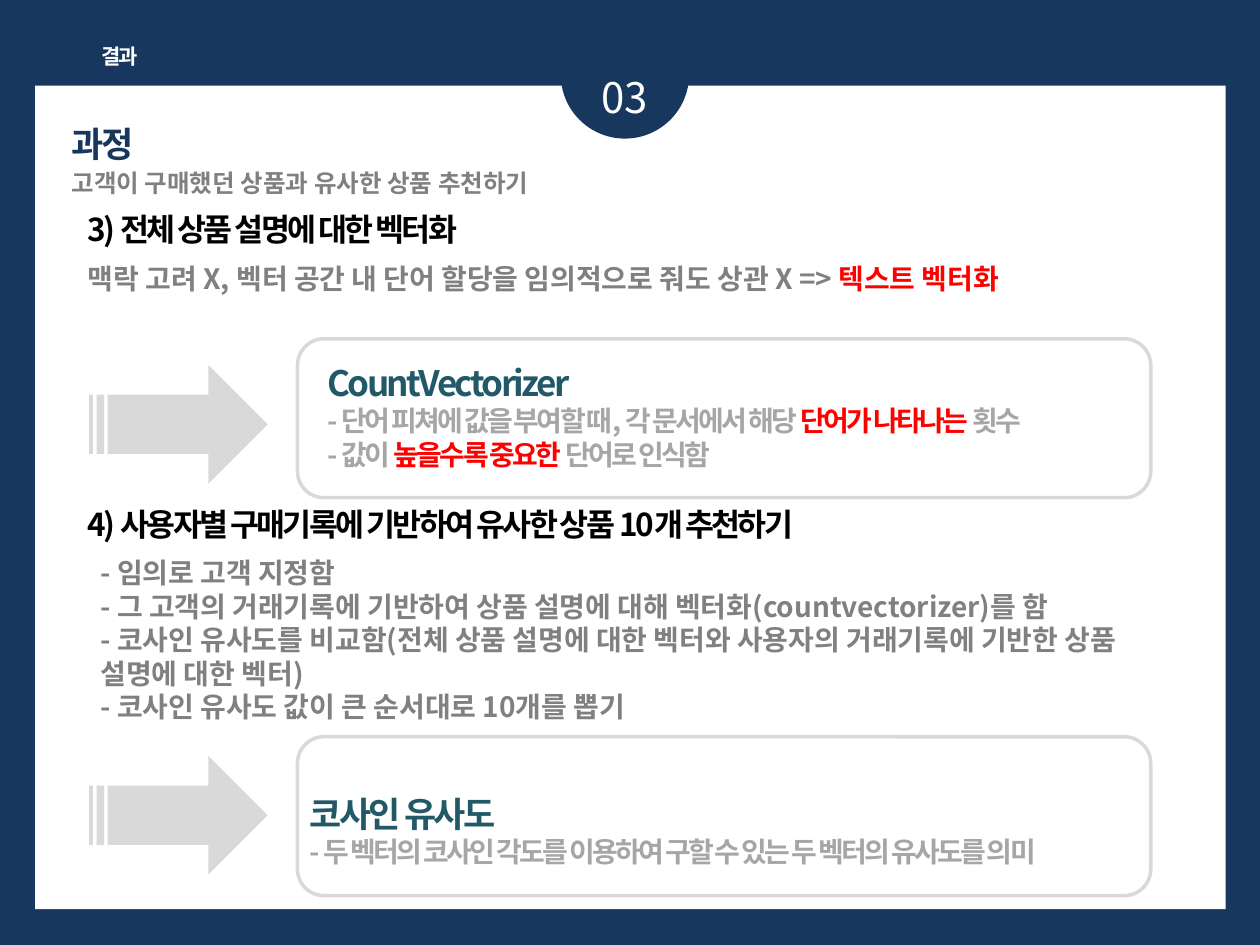
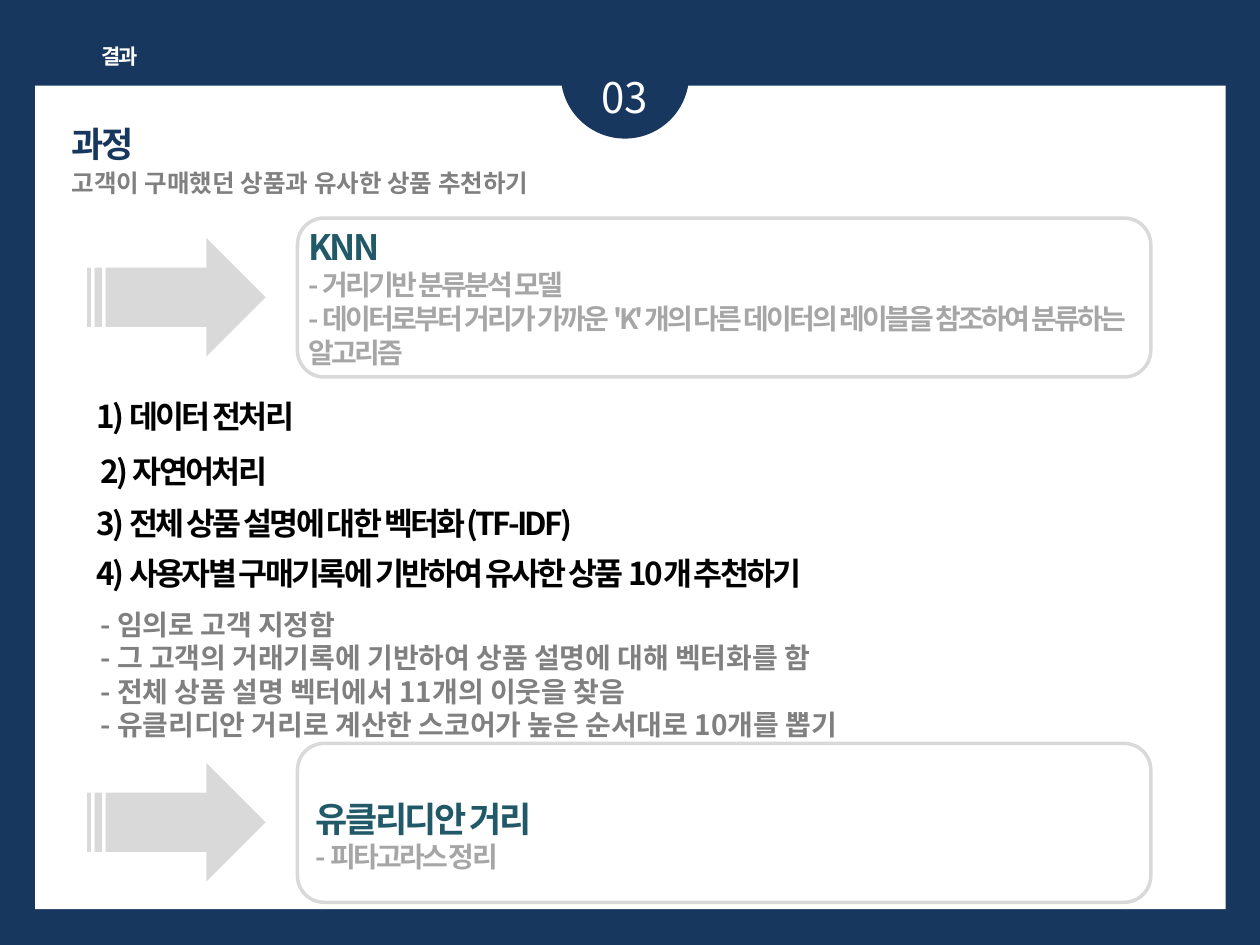
"""Build two slides on recommending products similar to past purchases."""
import pptx
import pptx.dml.color
import pptx.enum.shapes
import pptx.enum.text
import pptx.oxml.ns
import pptx.util

Pt = pptx.util.Pt
SHAPES = pptx.enum.shapes.MSO_SHAPE

FONT = "Noto Sans CJK KR"
COLORS = {
    "navy": "17375E",
    "white": "FFFFFF",
    "black": "000000",
    "teal": "215968",
    "body": "808080",
    "detail": "A6A6A6",
    "accent": "FF0000",
    "shape": "D9D9D9",
}
STYLES = {
    "number": {"size": 24, "color": "white", "centered": True},
    "section": {"size": 12, "color": "white", "bold": True, "tight": True, "centered": True},
    "title": {"size": 20, "color": "navy", "bold": True, "tight": True},
    "subtitle": {"size": 14, "color": "body", "bold": True},
    "step": {"size": 18, "color": "black", "bold": True, "tight": True},
    "body": {"size": 16, "color": "body", "bold": True},
    "term": {"size": 20, "color": "teal", "bold": True, "tight": True, "line_spacing": 2},
    "detail": {"size": 16, "color": "detail", "bold": True, "tight": True},
}

FRAME_TEXTS = [
    ("number", (314.6, 37.4, 85, 36), "03"),
    ("section", (50.4, 21.6, 36, 21.6), "결과"),
    ("title", (33.8, 66.2, 136, 31.7), "과정"),
    ("subtitle", (33.8, 92.2, 422, 24.5), "고객이 구매했던 상품과 유사한 상품 추천하기"),
]
RECOMMEND_STEP = "4) 사용자별 구매기록에 기반하여 유사한 상품 10개 추천하기"

# Asterisks enclose accented words.
SLIDES = [
    {
        "steps": [
            (43.2, 116.6, "3) 전체 상품 설명에 대한 벡터화"),
            (43.2, 285.1, RECOMMEND_STEP),
        ],
        "bodies": [
            ((43.2, 146.2, 636.5, 26.6), [
                "맥락 고려 X, 벡터 공간 내 단어 할당을 임의적으로 줘도 상관 X => *텍스트 벡터화*",
            ]),
            ((50.4, 313.9, 636.5, 104.4), [
                "- 임의로 고객 지정함",
                "- 그 고객의 거래기록에 기반하여 상품 설명에 대해 벡터화(countvectorizer)를 함",
                "- 코사인 유사도를 비교함(전체 상품 설명에 대한 벡터와 사용자의 거래기록에 기반한 상품 설명에 대한 벡터)",
                "- 코사인 유사도 값이 큰 순서대로 10개를 뽑기",
            ]),
        ],
        "arrow_left": 51,
        "callouts": [
            {"arrow_top": 208.6, "box_top": 193.6, "text": (180, 179.3, 464.4, 94.3),
             "term": "CountVectorizer",
             "details": ["- 단어 피쳐에 값을 부여할 때, 각 문서에서 해당* 단어가 나타나는* 횟수",
                         "- 값이 *높을수록 중요한* 단어로 인식함"]},
            {"arrow_top": 432, "box_top": 421, "text": (169.9, 425.5, 490.3, 74.9),
             "term": "코사인 유사도",
             "details": ["- 두 벡터의 코사인 각도를 이용하여 구할 수 있는 두 벡터의 유사도를 의미"]},
        ],
    },
    {
        "steps": [
            (48.2, 223.2, "1) 데이터 전처리"),
            (50.4, 254.9, "2) 자연어처리"),
            (48.2, 284.4, "3) 전체 상품 설명에 대한 벡터화(TF-IDF)"),
            (48.2, 313.2, RECOMMEND_STEP),
        ],
        "bodies": [
            ((50.4, 343.4, 636.5, 85), [
                "- 임의로 고객 지정함",
                "- 그 고객의 거래기록에 기반하여 상품 설명에 대해 벡터화를 함",
                "- 전체 상품 설명 벡터에서 11개의 이웃을 찾음",
                "- 유클리디안 거리로 계산한 스코어가 높은 순서대로 10개를 뽑기",
            ]),
        ],
        "arrow_left": 49.8,
        "callouts": [
            {"arrow_top": 136, "box_top": 124.6, "text": (169.2, 101.5, 492.5, 113.8),
             "term": "KNN",
             "details": ["- 거리기반 분류분석 모델",
                         "- 데이터로부터 거리가 가까운 'K'개의 다른 데이터의 레이블을 참조하여 분류하는 알고리즘"]},
            {"arrow_top": 436, "box_top": 424.8, "text": (173.5, 428.4, 492.5, 74.9),
             "term": "유클리디안 거리",
             "details": ["- 피타고라스 정리"]},
        ],
    },
]


def rgb(name):
    return pptx.dml.color.RGBColor.from_string(COLORS[name])


def add_shape(slide, kind, bounds, fill=None, line=None):
    shape = slide.shapes.add_shape(kind, *map(Pt, bounds))
    shape.shadow.inherit = False
    if fill:
        shape.fill.solid()
        shape.fill.fore_color.rgb = rgb(fill)
    else:
        shape.fill.background()
    if line:
        shape.line.color.rgb = rgb(line)
        shape.line.width = Pt(2)
    else:
        shape.line.fill.background()


def format_run(run, style, color):
    run.font.name = FONT
    run.font.size = Pt(style["size"])
    run.font.bold = style.get("bold", False)
    run.font.color.rgb = rgb(color)
    properties = run.font._element
    if style.get("tight"):
        properties.set("spc", "-150")
    east_asian = properties.makeelement(pptx.oxml.ns.qn("a:ea"), {"typeface": FONT})
    properties.find(pptx.oxml.ns.qn("a:latin")).addnext(east_asian)


def add_text(slide, bounds, lines):
    """Add a text box from (style name, text) lines."""
    text_frame = slide.shapes.add_textbox(*map(Pt, bounds)).text_frame
    text_frame.word_wrap = True
    text_frame.auto_size = pptx.enum.text.MSO_AUTO_SIZE.SHAPE_TO_FIT_TEXT
    for index, (style_name, text) in enumerate(lines):
        style = STYLES[style_name]
        paragraph = text_frame.add_paragraph() if index else text_frame.paragraphs[0]
        if style.get("centered"):
            paragraph.alignment = pptx.enum.text.PP_ALIGN.CENTER
        if "line_spacing" in style:
            paragraph.line_spacing = style["line_spacing"]
        for position, part in enumerate(text.split("*")):
            if part:
                run = paragraph.add_run()
                run.text = part
                format_run(run, style, "accent" if position % 2 else style["color"])


def add_frame(slide):
    slide.background.fill.solid()
    slide.background.fill.fore_color.rgb = rgb("navy")
    add_shape(slide, SHAPES.RECTANGLE, (20, 49, 680.4, 470.6), fill="white")
    add_shape(slide, SHAPES.OVAL, (320.4, 5.8, 73.4, 73.4), fill="navy")
    for style_name, bounds, text in FRAME_TEXTS:
        add_text(slide, bounds, [(style_name, text)])


def add_callout(slide, arrow_left, callout):
    add_shape(slide, SHAPES.STRIPED_RIGHT_ARROW,
              (arrow_left, callout["arrow_top"], 102, 67.8), fill="shape")
    add_shape(slide, SHAPES.ROUNDED_RECTANGLE,
              (170, callout["box_top"], 487.6, 90.8), line="shape")
    details = [("detail", text) for text in callout["details"]]
    add_text(slide, callout["text"], [("term", callout["term"])] + details)


def main():
    presentation = pptx.Presentation()
    presentation.slide_width, presentation.slide_height = Pt(720), Pt(540)
    for content in SLIDES:
        slide = presentation.slides.add_slide(presentation.slide_layouts[6])
        add_frame(slide)
        for left, top, text in content["steps"]:
            add_text(slide, (left, top, 532.8, 29), [("step", text)])
        for bounds, texts in content["bodies"]:
            add_text(slide, bounds, [("body", text) for text in texts])
        for callout in content["callouts"]:
            add_callout(slide, content["arrow_left"], callout)
    presentation.save("out.pptx")


if __name__ == "__main__":
    main()
